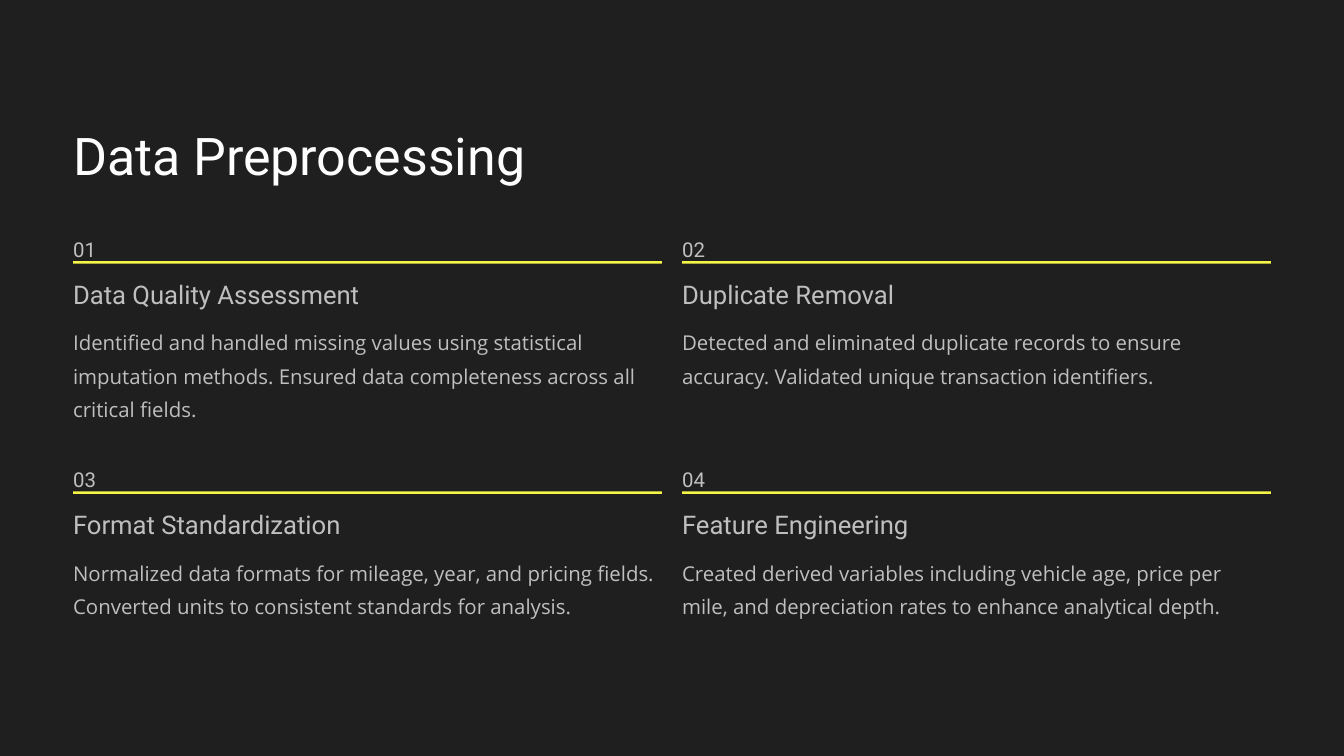
import pptx
import pptx.util
import pptx.dml.color
import pptx.enum.shapes
import pptx.enum.text

Inches = pptx.util.Inches
Pt = pptx.util.Pt
RGBColor = pptx.dml.color.RGBColor

BLACK = RGBColor(0x00, 0x00, 0x00)
DARK = RGBColor(0x1F, 0x1F, 0x1F)
WHITE = RGBColor(0xFE, 0xFE, 0xFE)
GREY = RGBColor(0xBF, 0xBF, 0xBF)
YELLOW = RGBColor(0xF5, 0xF5, 0x47)

LEFT, TOP = 0.87, 2.72
WIDTH = 7.01
STEP_X, STEP_Y = 7.25, 2.74

# Heading, heading width, body, body height
STEPS = [
    ("Data Quality Assessment", 3.62,
     "Identified and handled missing values using statistical imputation "
     "methods. Ensured data completeness across all critical fields.", 1.19),
    ("Duplicate Removal", 3.1,
     "Detected and eliminated duplicate records to ensure accuracy. "
     "Validated unique transaction identifiers.", 0.79),
    ("Format Standardization", 3.4,
     "Normalized data formats for mileage, year, and pricing fields. "
     "Converted units to consistent standards for analysis.", 0.79),
    ("Feature Engineering", 3.1,
     "Created derived variables including vehicle age, price per mile, "
     "and depreciation rates to enhance analytical depth.", 0.79),
]


class Deck:
    def __init__(self):
        self.show = pptx.Presentation()
        self.show.slide_width = Inches(16)
        self.show.slide_height = Inches(9)
        self.slide = self.show.slides.add_slide(self.show.slide_layouts[6])
        fill = self.slide.background.fill
        fill.solid()
        fill.fore_color.rgb = BLACK

    def text(self, words, x, y, w, h, size=17.5, lead=28.5, font="Roboto",
             color=GREY, wrap=False):
        box = self.slide.shapes.add_textbox(
            Inches(x), Inches(y), Inches(w), Inches(h))
        frame = box.text_frame
        frame.margin_left = frame.margin_right = 0
        frame.margin_top = frame.margin_bottom = 0
        frame.word_wrap = wrap
        frame.vertical_anchor = pptx.enum.text.MSO_ANCHOR.TOP
        para = frame.paragraphs[0]
        para.line_spacing = Pt(lead)
        run = para.add_run()
        run.text = words
        run.font.name = font
        run.font.size = Pt(size)
        run.font.color.rgb = color

    def rect(self, x, y, w, h, color):
        shape = self.slide.shapes.add_shape(
            pptx.enum.shapes.MSO_SHAPE.RECTANGLE,
            Inches(x), Inches(y), Inches(w), Inches(h))
        shape.shadow.inherit = False
        shape.fill.solid()
        shape.fill.fore_color.rgb = color
        shape.line.fill.background()

    def step(self, index, head, wide, body, tall):
        """Draw one numbered step in its cell of the two-column grid."""
        row, col = divmod(index, 2)
        x, y = LEFT + col * STEP_X, TOP + row * STEP_Y
        self.text(f"{index + 1:02}", x, y, 0.3, 0.31)
        self.rect(x, y + 0.39, WIDTH, 0.03, YELLOW)
        self.text(head, x, y + 0.58, wide, 0.39, size=22, lead=27.5)
        self.text(body, x, y + 1.11, WIDTH, tall, font="Open Sans", wrap=True)


def main():
    deck = Deck()
    deck.rect(0, 0, 16, 9, DARK)
    deck.text("Data Preprocessing", LEFT, 1.44, 6.2, 0.78,
              size=44.5, lead=55.5, color=WHITE)
    for index, step in enumerate(STEPS):
        deck.step(index, *step)
    deck.show.save("out.pptx")


if __name__ == "__main__":
    main()
